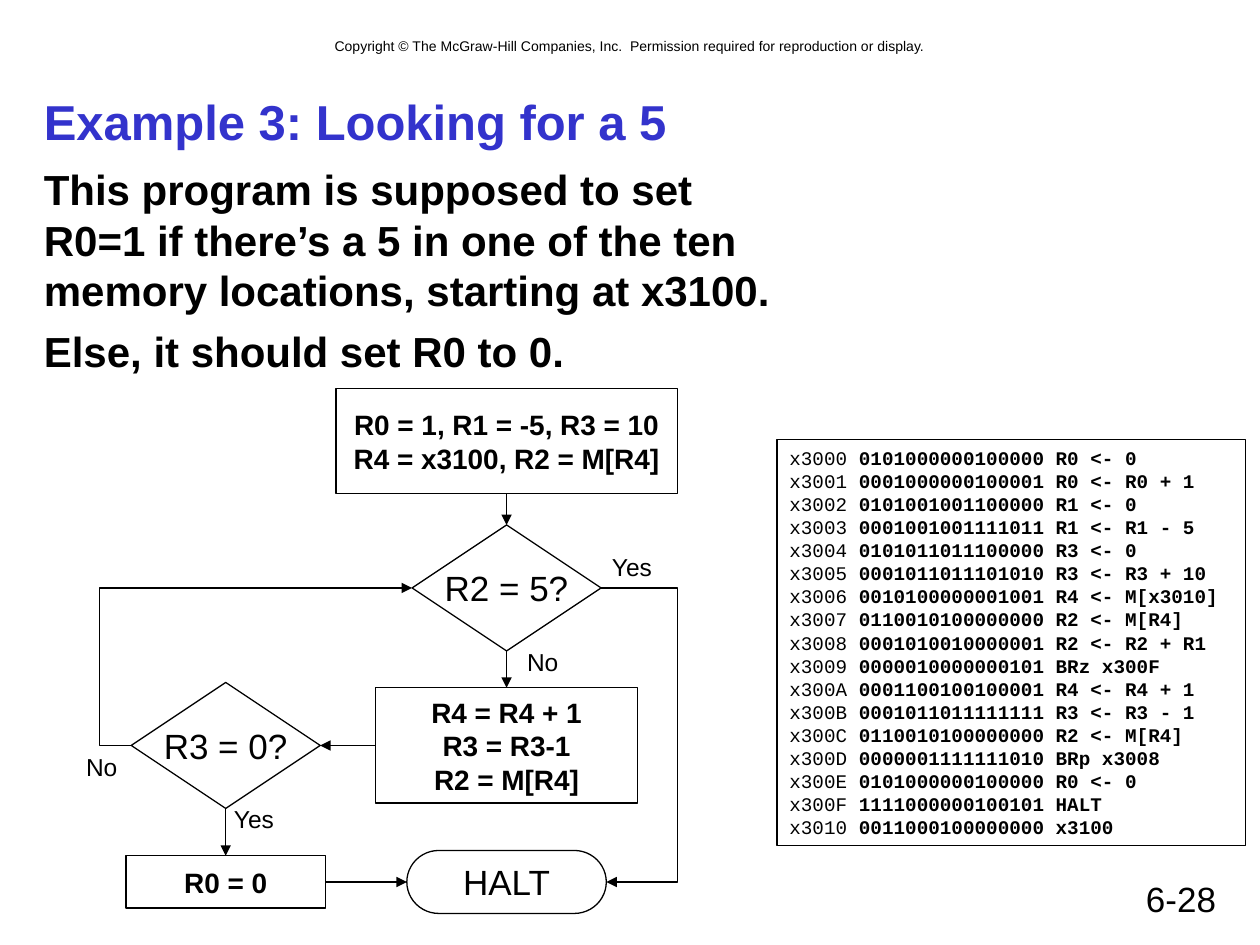
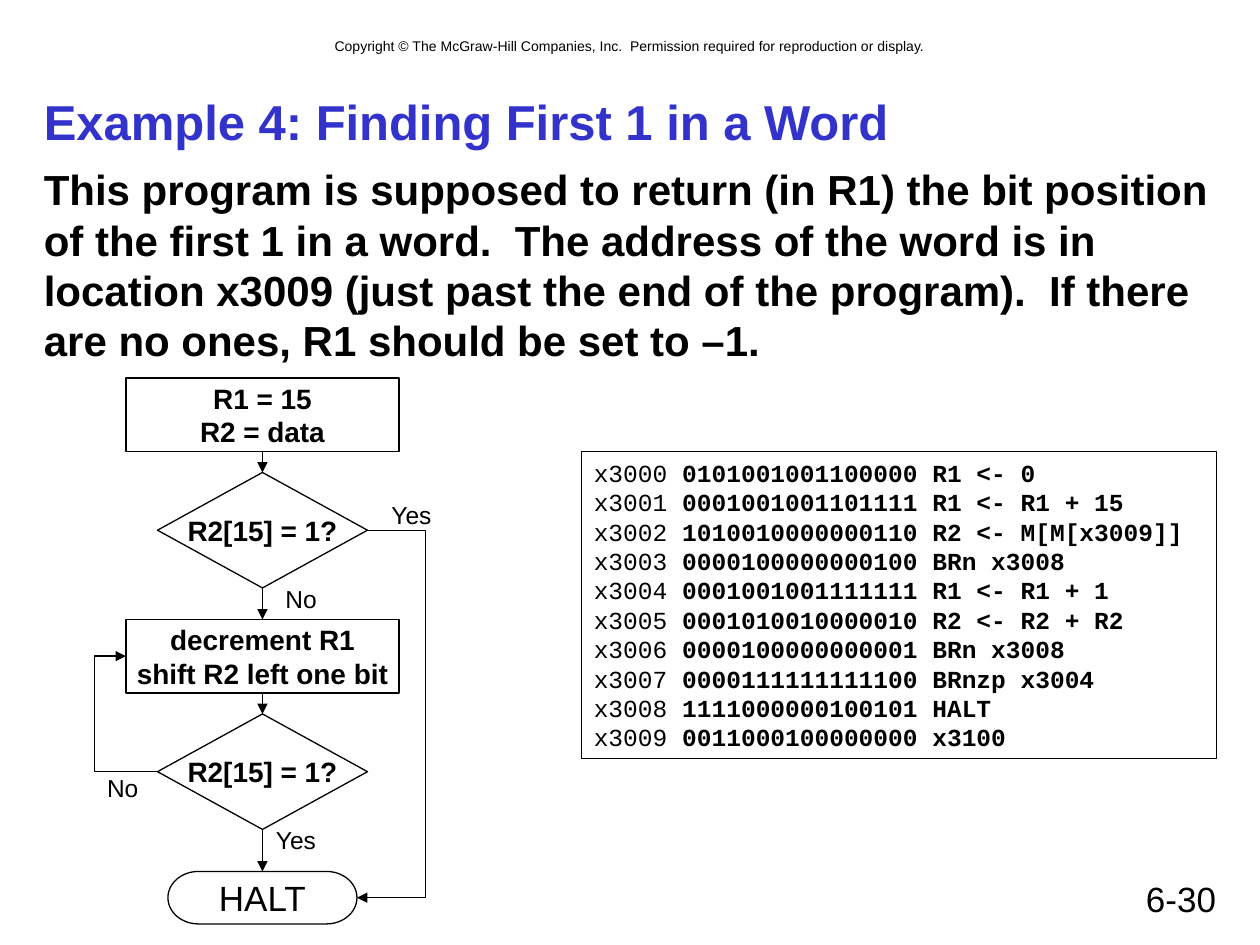
from pptx import Presentation
from pptx.dml.color import RGBColor
from pptx.enum.shapes import MSO_CONNECTOR, MSO_SHAPE
from pptx.enum.text import MSO_ANCHOR, PP_ALIGN
from pptx.oxml.ns import qn
from pptx.util import Pt
from lxml.etree import SubElement

PX = 9525  # 96 px to the inch
COLORS = {"title": "3333CC", "ink": "000000"}
LINE_PITCH = 1.2
TOP, LEFT, BOTTOM, RIGHT = range(4)
COPYRIGHT = ("Copyright © The McGraw-Hill Companies, Inc.  "
             "Permission required for reproduction or display.")

SLIDES = [
    {
        "number": "6-28",
        "title": "Example 3: Looking for a 5",
        "body": ["This program is supposed to set\nR0=1 if there’s a 5 in one of the ten\n"
                 "memory locations, starting at x3100.",
                 "Else, it should set R0 to 0."],
        # name: preset, box, paragraphs, size, bold
        "steps": {
            "setup": (MSO_SHAPE.RECTANGLE, (256, 296, 260, 80),
                      ["R0 = 1, R1 = -5, R3 = 10\nR4 = x3100, R2 = M[R4]"], 16, True),
            "found": (MSO_SHAPE.FLOWCHART_DECISION, (314, 400, 144, 96), ["R2 = 5?"], 20, False),
            "next": (MSO_SHAPE.RECTANGLE, (286, 524, 200, 88),
                     ["R4 = R4 + 1", "R3 = R3-1", "R2 = M[R4]"], 16, True),
            "done": (MSO_SHAPE.FLOWCHART_DECISION, (100, 520, 144, 96), ["R3 = 0?"], 20, False),
            "clear": (MSO_SHAPE.RECTANGLE, (96, 652, 152, 40), ["R0 = 0"], 16, True),
            "halt": (MSO_SHAPE.FLOWCHART_TERMINATOR, (310, 648, 152, 48), ["HALT"], 20, False),
        },
        # start, side, end, side, x of the bend (None for a straight arrow)
        "arrows": [
            ("setup", BOTTOM, "found", TOP, None),
            ("found", BOTTOM, "next", TOP, None),
            ("next", LEFT, "done", RIGHT, None),
            ("done", LEFT, "found", LEFT, 76),
            ("done", BOTTOM, "clear", TOP, None),
            ("clear", RIGHT, "halt", LEFT, None),
            ("found", RIGHT, "halt", RIGHT, 516),
        ],
        "labels": [("No", 392, 488), ("Yes", 456, 416), ("Yes", 168, 608), ("No", 56, 568)],
        "code_box": (592, 335, 357, 309),
        "code_size": 11,
        "code": """\
x3000 0101000000100000 R0 <- 0
x3001 0001000000100001 R0 <- R0 + 1
x3002 0101001001100000 R1 <- 0
x3003 0001001001111011 R1 <- R1 - 5
x3004 0101011011100000 R3 <- 0
x3005 0001011011101010 R3 <- R3 + 10
x3006 0010100000001001 R4 <- M[x3010]
x3007 0110010100000000 R2 <- M[R4]
x3008 0001010010000001 R2 <- R2 + R1
x3009 0000010000000101 BRz x300F
x300A 0001100100100001 R4 <- R4 + 1
x300B 0001011011111111 R3 <- R3 - 1
x300C 0110010100000000 R2 <- M[R4]
x300D 0000001111111010 BRp x3008
x300E 0101000000100000 R0 <- 0
x300F 1111000000100101 HALT
x3010 0011000100000000 x3100""",
    },
    {
        "number": "6-30",
        "title": "Example 4: Finding First 1 in a Word",
        "body": ["This program is supposed to return (in R1) the bit position of the first 1 "
                 "in a word.  The address of the word is in location x3009 (just past the end "
                 "of the program).  If there\nare no ones, R1 should be set to –1."],
        "steps": {
            "setup": (MSO_SHAPE.FLOWCHART_PROCESS, (96, 288, 208, 56),
                      ["R1 = 15", "R2 = data"], 16, True),
            "first test": (MSO_SHAPE.FLOWCHART_DECISION, (120, 360, 160, 88),
                           ["R2[15] = 1?"], 16, True),
            "shift": (MSO_SHAPE.FLOWCHART_PROCESS, (96, 472, 208, 56),
                      ["decrement R1", "shift R2 left one bit"], 16, True),
            "second test": (MSO_SHAPE.FLOWCHART_DECISION, (120, 544, 160, 88),
                            ["R2[15] = 1?"], 16, True),
            "halt": (MSO_SHAPE.FLOWCHART_TERMINATOR, (128, 664, 144, 40), ["HALT"], 20, False),
        },
        "arrows": [
            ("setup", BOTTOM, "first test", TOP, None),
            ("first test", BOTTOM, "shift", TOP, None),
            ("first test", RIGHT, "halt", RIGHT, 324),
            ("shift", BOTTOM, "second test", TOP, None),
            ("second test", BOTTOM, "halt", TOP, None),
            ("second test", LEFT, "shift", LEFT, 72),
        ],
        "labels": [("Yes", 288, 376), ("Yes", 200, 624), ("No", 208, 440), ("No", 72, 584)],
        "code_box": (443, 344, 484, 234),
        "code_size": 14,
        "code": """\
x3000 0101001001100000 R1 <- 0
x3001 0001001001101111 R1 <- R1 + 15
x3002 1010010000000110 R2 <- M[M[x3009]]
x3003 0000100000000100 BRn x3008
x3004 0001001001111111 R1 <- R1 + 1
x3005 0001010010000010 R2 <- R2 + R2
x3006 0000100000000001 BRn x3008
x3007 0000111111111100 BRnzp x3004
x3008 1111000000100101 HALT
x3009 0011000100000000 x3100""",
    },
]


def add_block(slide, box, texts, size, preset=None, bold=False, color="ink", font="Arial",
              align=PP_ALIGN.LEFT, anchor=MSO_ANCHOR.TOP, wrap=True, gap=0):
    """Add a text box, or an outlined preset shape, with one paragraph per text."""
    box = [length * PX for length in box]
    if preset is None:
        shape = slide.shapes.add_textbox(*box)
    else:
        shape = slide.shapes.add_shape(preset, *box)
        shape.shadow.inherit = False
        shape.fill.background()
        shape.line.color.rgb = RGBColor.from_string(COLORS["ink"])
        shape.line.width = Pt(0.75)
    frame = shape.text_frame
    frame.word_wrap = wrap
    frame.vertical_anchor = anchor
    for index, text in enumerate(texts):
        paragraph = frame.add_paragraph() if index else frame.paragraphs[0]
        paragraph.text = text
        paragraph.alignment = align
        paragraph.line_spacing = Pt(size * LINE_PITCH)
        if index and gap:
            paragraph.space_before = Pt(gap)
        paragraph.font.name = font
        paragraph.font.size = Pt(size)
        paragraph.font.bold = bold
        paragraph.font.color.rgb = RGBColor.from_string(COLORS[color])
    return shape


def add_arrow(slide, start, start_side, end, end_side, bend_x):
    kind = MSO_CONNECTOR.STRAIGHT if bend_x is None else MSO_CONNECTOR.ELBOW
    connector = slide.shapes.add_connector(kind, 0, 0, 0, 0)
    connector.begin_connect(start, start_side)
    connector.end_connect(end, end_side)
    connector.line.color.rgb = RGBColor.from_string(COLORS["ink"])
    connector.line.width = Pt(0.75)
    properties = connector._element.spPr
    SubElement(properties.find(qn("a:ln")), qn("a:tailEnd"), type="triangle")
    SubElement(properties, qn("a:effectLst"))
    if bend_x is not None:
        ratio = (bend_x * PX - connector.begin_x) / (connector.end_x - connector.begin_x)
        adjustments = properties.find(qn("a:prstGeom")).get_or_add_avLst()
        SubElement(adjustments, qn("a:gd"), name="adj1", fmla=f"val {round(ratio * 100000)}")


presentation = Presentation()
presentation.slide_width = 960 * PX
presentation.slide_height = 720 * PX

for content in SLIDES:
    slide = presentation.slides.add_slide(presentation.slide_layouts[6])
    add_block(slide, (64, 24, 832, 23), [COPYRIGHT], 8, align=PP_ALIGN.CENTER)
    add_block(slide, (688, 664, 248, 40), [content["number"]], 20, align=PP_ALIGN.RIGHT)
    add_block(slide, (24, 64, 912, 56), [content["title"]], 28, bold=True, color="title",
              anchor=MSO_ANCHOR.MIDDLE)
    add_block(slide, (24, 120, 912, 520), content["body"], 24, bold=True, gap=6)

    steps = {}
    for name, (preset, box, texts, size, bold) in content["steps"].items():
        steps[name] = add_block(slide, box, texts, size, preset, bold, align=PP_ALIGN.CENTER,
                                anchor=MSO_ANCHOR.MIDDLE, wrap=False)
    for start, start_side, end, end_side, bend_x in content["arrows"]:
        add_arrow(slide, steps[start], start_side, steps[end], end_side, bend_x)
    for text, left, top in content["labels"]:
        width = 51 if text == "Yes" else 43
        add_block(slide, (left, top, width, 33), [text], 14, align=PP_ALIGN.CENTER, wrap=False)

    code_lines = content["code"].splitlines()
    listing = add_block(slide, content["code_box"], [line[:5] for line in code_lines],
                        content["code_size"], MSO_SHAPE.RECTANGLE, font="Courier New")
    for paragraph, line in zip(listing.text_frame.paragraphs, code_lines):
        instruction = paragraph.add_run()
        instruction.text = line[5:]
        instruction.font.bold = True

presentation.save("out.pptx")
